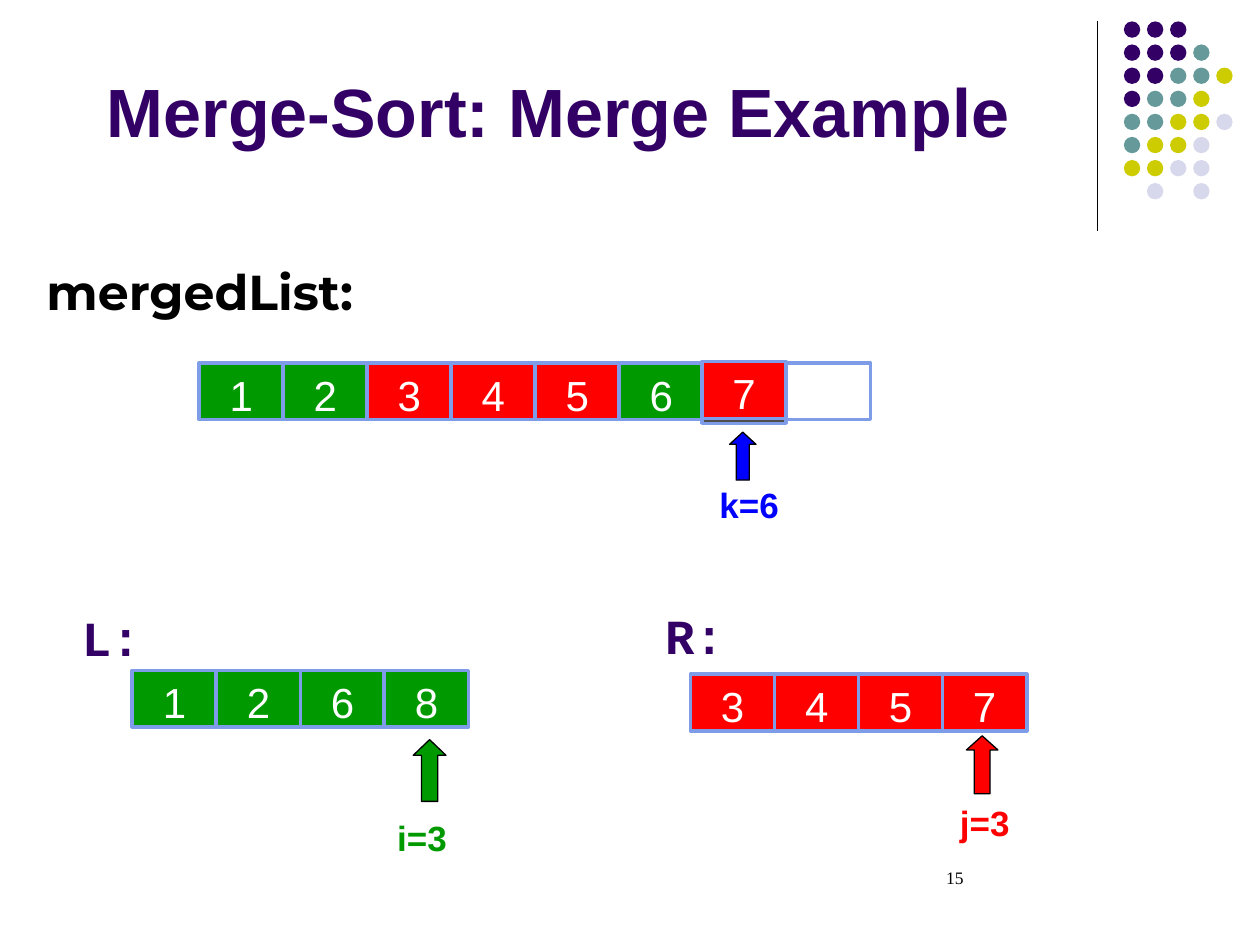
from dataclasses import dataclass

from lxml import etree
from pptx import Presentation
from pptx import util as u
from pptx.dml.color import RGBColor
from pptx.enum import shapes, text
from pptx.oxml import ns


@dataclass(frozen=True)
class Theme:
    purple: str = "330066"
    teal: str = "669999"
    olive: str = "CCCC00"
    pale: str = "D8D8EC"
    green: str = "009900"
    red: str = "FF0000"
    blue: str = "0000FF"
    border: str = "7E9CE8"
    gray: str = "4D4D4D"
    white: str = "FFFFFF"
    black: str = "000000"
    title_size: int = 39
    heading_size: int = 28
    cell_size: int = 24
    index_size: int = 20
    number_size: int = 10


theme = Theme()
presentation = Presentation()
presentation.slide_width, presentation.slide_height = u.Inches(10), u.Inches(7.5)
slide = presentation.slides.add_slide(presentation.slide_layouts[6])


def add_filled(kind, box, fill, border=None, weight=0):
    shape = slide.shapes.add_shape(kind, *map(u.Inches, box))
    shape.shadow.inherit = False
    shape.fill.solid()
    shape.fill.fore_color.rgb = RGBColor.from_string(fill)
    if border:
        shape.line.color.rgb = RGBColor.from_string(border)
        shape.line.width = u.Pt(weight)
    else:
        shape.line.fill.background()
    return shape


def write(shape, words, size, color, font="Arial", bold=True, centered=False,
          side=0.1, bottom=0.05, wrap=True, anchor=text.MSO_ANCHOR.BOTTOM):
    frame_format = {
        "margin_left": u.Inches(side), "margin_right": u.Inches(side),
        "margin_top": u.Inches(0.05), "margin_bottom": u.Inches(bottom),
        "word_wrap": wrap, "vertical_anchor": anchor,
    }
    for name, value in frame_format.items():
        setattr(shape.text_frame, name, value)
    paragraph = shape.text_frame.paragraphs[0]
    paragraph.text = words
    paragraph.alignment = text.PP_ALIGN.CENTER if centered else text.PP_ALIGN.LEFT
    for name, value in {"name": font, "size": u.Pt(size), "bold": bold}.items():
        setattr(paragraph.font, name, value)
    paragraph.font.color.rgb = RGBColor.from_string(color)


# Corner decoration: vertical rule and dot pattern
rule = slide.shapes.add_connector(
    shapes.MSO_CONNECTOR.STRAIGHT,
    u.Inches(8.71), u.Inches(0.17), u.Inches(8.71), u.Inches(1.83))
rule.line.color.rgb = RGBColor.from_string(theme.black)
rule.line.width = u.Pt(0.75)
etree.SubElement(rule._element.spPr, ns.qn("a:effectLst"))

dot_colors = {"P": theme.purple, "T": theme.teal, "O": theme.olive, "L": theme.pale}
dot_rows = ["PPP", "PPPT", "PPTTO", "PTTO", "TTOOL", "TOOL", "OOLL", ".L.L"]
dot_pitch = 0.55 / 3
for row, pattern in enumerate(dot_rows):
    for column, key in enumerate(pattern):
        if key in dot_colors:
            add_filled(shapes.MSO_SHAPE.OVAL,
                       (8.92 + column * dot_pitch, 0.17 + row * dot_pitch, 0.13, 0.13),
                       dot_colors[key])

# Title, headings and index labels
labels = [
    ((0.75, 0, 8.5, 1.25), "Merge-Sort: Merge Example", theme.title_size, theme.purple, {}),
    ((0.27, 2.02, 2.98, 0.57), "mergedList:", theme.heading_size, theme.black,
     {"font": "Montserrat"}),
    ((0.65, 4.77, 0.47, 0.57), "L:", theme.heading_size, theme.purple,
     {"font": "Courier New", "side": 0, "wrap": False}),
    ((5.28, 4.75, 0.47, 0.57), "R:", theme.heading_size, theme.purple,
     {"font": "Courier New", "side": 0, "wrap": False}),
    ((3.11, 6.42, 0.48, 0.44), "i=3", theme.index_size, theme.green,
     {"centered": True, "side": 0}),
    ((7.44, 6.3, 0.75, 0.44), "j=3", theme.index_size, theme.red, {"centered": True}),
    ((5.54, 3.78, 0.81, 0.44), "k=6", theme.index_size, theme.blue, {"centered": True}),
    ((7.17, 6.83, 2.33, 0.5), "15", theme.number_size, theme.black,
     {"font": "Times New Roman", "bold": False, "side": 0.34,
      "anchor": text.MSO_ANCHOR.TOP}),
]
for box, words, size, color, options in labels:
    write(slide.shapes.add_textbox(*map(u.Inches, box)), words, size, color, **options)

# Array cells: left, top and (value, fill) pairs; the cell just merged goes on top
cell_pitch = 2 / 3
green, red = theme.green, theme.red
arrays = [
    (1.58, 2.88, [("1", green), ("2", green), ("3", red), ("4", red), ("5", red),
                  ("6", green)]),
    (6.24, 2.88, [("", theme.white)]),
    (1.05, 5.32, [(value, green) for value in "1268"]),
    (5.48, 5.35, [(value, red) for value in "3457"]),
    (5.57, 2.88, [("", theme.gray)]),
    (5.57, 2.87, [("7", red)]),
]
for left, top, cells in arrays:
    for column, (value, fill) in enumerate(cells):
        height = 0.48 if fill == theme.gray else 0.45
        cell = add_filled(shapes.MSO_SHAPE.RECTANGLE,
                          (left + column * cell_pitch, top, 0.67, height),
                          fill, theme.border, 2)
        if value:
            write(cell, value, theme.cell_size, theme.white, bold=False,
                  centered=True, bottom=0)

# Index arrows
arrows = [
    ((7.67, 5.84, 0.25, 0.46), theme.red, 0.45),
    ((5.79, 3.43, 0.21, 0.38), theme.blue, 0.46),
    ((3.28, 5.87, 0.26, 0.49), theme.green, 0.48),
]
for box, fill, head in arrows:
    arrow = add_filled(shapes.MSO_SHAPE.UP_ARROW, box, fill, theme.black, 0.75)
    arrow.adjustments[0], arrow.adjustments[1] = 0.5, head

presentation.save("out.pptx")
